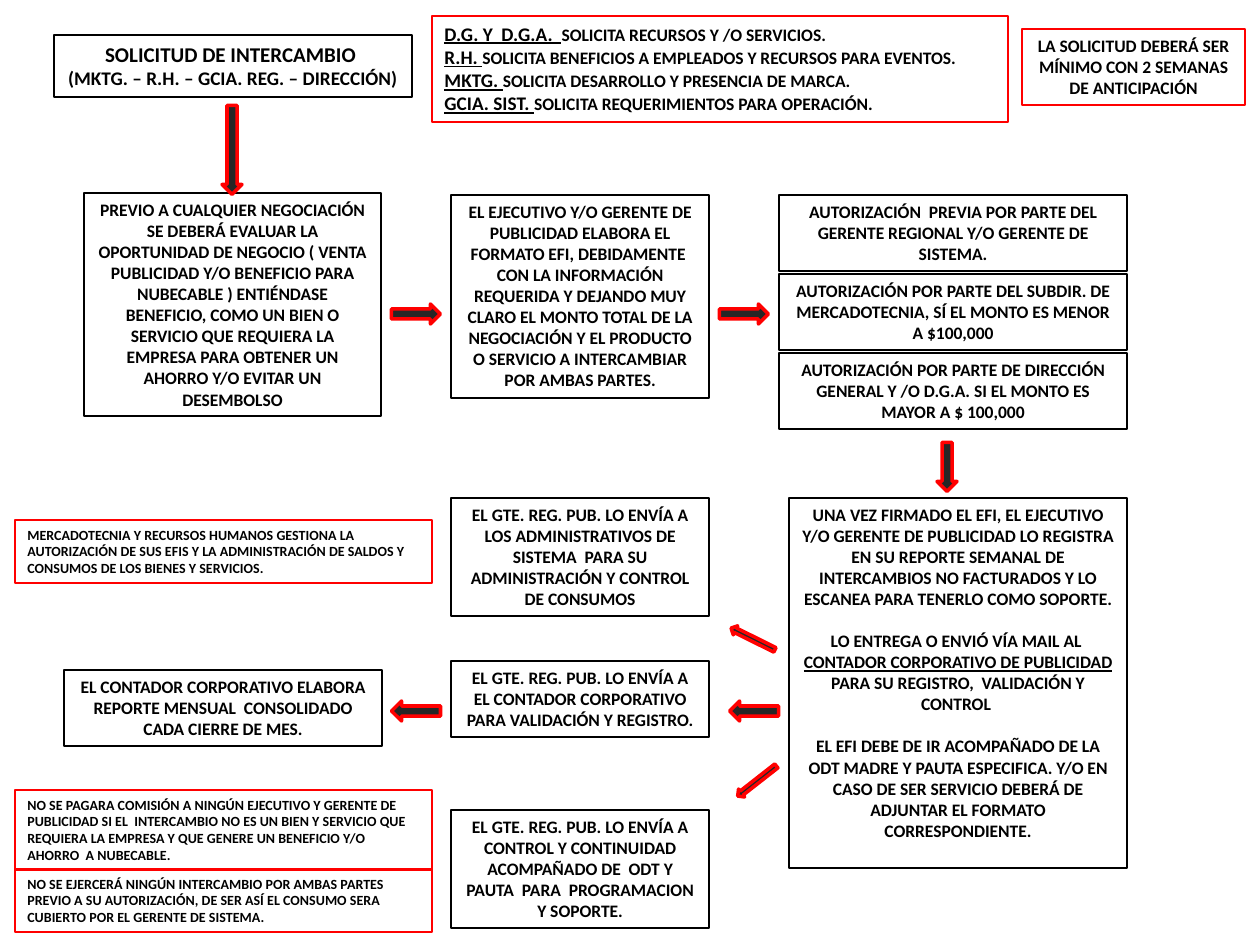
from pptx import Presentation
from pptx.dml.color import RGBColor
from pptx.enum.shapes import MSO_SHAPE
from pptx.enum.text import MSO_ANCHOR, MSO_AUTO_SIZE, PP_ALIGN
from pptx.util import Emu, Pt

PX_PER_INCH = 126
BLACK = RGBColor(0x00, 0x00, 0x00)
RED = RGBColor(0xFF, 0x00, 0x00)
CHARCOAL = RGBColor(0x26, 0x26, 0x26)
FONT = "Calibri"

# Columns and rows of the flow
MIDDLE_X, MIDDLE_W = 451, 258
APPROVAL_X, APPROVAL_W = 779, 348
NOTE_X, NOTE_W = 15, 417
TOP_ROW_Y, LOWER_ROW_Y = 195, 498
THREE_LINES_H, FIVE_LINES_H = 76, 118
APPROVAL_STEP = 79

ROLES = [
    ("D.G. Y  D.G.A.  ", "SOLICITA RECURSOS Y /O SERVICIOS."),
    ("R.H. ", "SOLICITA BENEFICIOS A EMPLEADOS Y RECURSOS PARA EVENTOS."),
    ("MKTG. ", "SOLICITA DESARROLLO Y PRESENCIA DE MARCA."),
    ("GCIA. SIST. ", "SOLICITA REQUERIMIENTOS PARA OPERACIÓN."),
]

APPROVALS = [
    "AUTORIZACIÓN  PREVIA POR PARTE DEL GERENTE REGIONAL Y/O GERENTE DE SISTEMA.",
    "AUTORIZACIÓN POR PARTE DEL SUBDIR. DE MERCADOTECNIA, SÍ EL MONTO ES MENOR "
    "A $100,000",
    "AUTORIZACIÓN POR PARTE DE DIRECCIÓN GENERAL Y /O D.G.A. SI EL MONTO ES "
    "MAYOR A $ 100,000",
]

# Middle column: top, height, text
MIDDLE_STEPS = [
    (TOP_ROW_Y, 203,
     "EL EJECUTIVO Y/O GERENTE DE PUBLICIDAD ELABORA EL FORMATO EFI, DEBIDAMENTE  "
     "CON LA INFORMACIÓN REQUERIDA Y DEJANDO MUY CLARO EL MONTO TOTAL DE LA "
     "NEGOCIACIÓN Y EL PRODUCTO O SERVICIO A INTERCAMBIAR POR AMBAS PARTES."),
    (LOWER_ROW_Y, FIVE_LINES_H,
     "EL GTE. REG. PUB. LO ENVÍA A LOS ADMINISTRATIVOS DE SISTEMA  PARA SU "
     "ADMINISTRACIÓN Y CONTROL DE CONSUMOS"),
    (661, THREE_LINES_H,
     "EL GTE. REG. PUB. LO ENVÍA A EL CONTADOR CORPORATIVO PARA VALIDACIÓN Y "
     "REGISTRO."),
    (810, FIVE_LINES_H,
     "EL GTE. REG. PUB. LO ENVÍA A CONTROL Y CONTINUIDAD ACOMPAÑADO DE  ODT Y "
     "PAUTA  PARA  PROGRAMACION Y SOPORTE."),
]

# Notes on the left: top, height, text
NOTES = [
    (520, 63,
     "MERCADOTECNIA Y RECURSOS HUMANOS GESTIONA LA AUTORIZACIÓN DE SUS EFIS Y LA "
     "ADMINISTRACIÓN DE SALDOS Y CONSUMOS DE LOS BIENES Y SERVICIOS."),
    (869, 63,
     "NO SE EJERCERÁ NINGÚN INTERCAMBIO POR AMBAS PARTES PREVIO A SU AUTORIZACIÓN, "
     "DE SER ASÍ EL CONSUMO SERA CUBIERTO POR EL GERENTE DE SISTEMA."),
    (790, 80,
     "NO SE PAGARA COMISIÓN A NINGÚN EJECUTIVO Y GERENTE DE PUBLICIDAD SI EL  "
     "INTERCAMBIO NO ES UN BIEN Y SERVICIO QUE REQUIERA LA EMPRESA Y QUE GENERE "
     "UN BENEFICIO Y/O AHORRO  A NUBECABLE."),
]

# Arrows: centre x, centre y, rotation, length, thickness
ARROWS = [
    (232, 150, 90, 89, 20),
    (416, 314, 0, 49, 20),
    (744, 314, 0, 49, 20),
    (947, 467, 90, 49, 20),
    (753, 639, 206.4, 49, 10),
    (754, 711, 180, 49, 20),
    (757, 781, 142, 49, 10),
    (416, 711, 180, 49, 20),
]


def px(length):
    return Emu(round(length * 914400 / PX_PER_INCH))


def write_text(frame, paragraphs, size=10, align=PP_ALIGN.CENTER, gap=0):
    """Each paragraph is a string or a list of (text, size, underline) runs."""
    for index, content in enumerate(paragraphs):
        paragraph = frame.paragraphs[0] if index == 0 else frame.add_paragraph()
        paragraph.alignment = align
        if index and gap:
            paragraph.space_before = Pt(gap)
        pieces = [(content, size, False)] if isinstance(content, str) else content
        for words, points, underline in pieces:
            run = paragraph.add_run()
            run.text = words
            run.font.name = FONT
            run.font.size = Pt(points)
            run.font.bold = True
            run.font.underline = underline
            run.font.color.rgb = BLACK


def add_box(slide, x, y, w, h, paragraphs, line=BLACK, **text_format):
    box = slide.shapes.add_shape(MSO_SHAPE.RECTANGLE, px(x), px(y), px(w), px(h))
    box.shadow.inherit = False
    box.fill.background()
    box.line.color.rgb = line
    box.line.width = Pt(0.75)
    frame = box.text_frame
    frame.word_wrap = True
    frame.auto_size = MSO_AUTO_SIZE.SHAPE_TO_FIT_TEXT
    frame.vertical_anchor = MSO_ANCHOR.TOP
    write_text(frame, paragraphs, **text_format)


def add_arrow(slide, centre_x, centre_y, rotation, length, thickness):
    arrow = slide.shapes.add_shape(
        MSO_SHAPE.RIGHT_ARROW, px(centre_x - length / 2),
        px(centre_y - thickness / 2), px(length), px(thickness))
    arrow.rotation = rotation
    arrow.shadow.inherit = False
    arrow.fill.solid()
    arrow.fill.fore_color.rgb = CHARCOAL
    arrow.line.color.rgb = RED
    arrow.line.width = Pt(2)


def main():
    presentation = Presentation()
    presentation.slide_width = px(1260)
    presentation.slide_height = px(945)
    slide = presentation.slides.add_slide(presentation.slide_layouts[6])

    # Request, who asks for what, and notice period
    add_box(slide, 54, 35, 358, 62, [
        [("SOLICITUD DE INTERCAMBIO ", 12, False)],
        [("(MKTG. – R.H. – GCIA. REG. – DIRECCIÓN)", 11, False)],
    ])
    add_box(slide, 432, 16, 576, 106,
            [[(role, 11, True), (request, 10, False)] for role, request in ROLES],
            line=RED, align=PP_ALIGN.LEFT)
    add_box(slide, 1022, 29, 223, THREE_LINES_H,
            ["LA SOLICITUD DEBERÁ SER MÍNIMO CON 2 SEMANAS DE ANTICIPACIÓN"],
            line=RED)

    # Evaluation and monthly report
    add_box(slide, 84, 193, 297, 223, [
        "PREVIO A CUALQUIER NEGOCIACIÓN SE DEBERÁ EVALUAR LA OPORTUNIDAD DE NEGOCIO "
        "( VENTA PUBLICIDAD Y/O BENEFICIO PARA NUBECABLE ) ENTIÉNDASE BENEFICIO, "
        "COMO UN BIEN O SERVICIO QUE REQUIERA LA EMPRESA PARA OBTENER UN AHORRO "
        "Y/O EVITAR UN DESEMBOLSO"])
    add_box(slide, 64, 670, 318, THREE_LINES_H, [
        "EL CONTADOR CORPORATIVO ELABORA REPORTE MENSUAL  CONSOLIDADO CADA CIERRE "
        "DE MES."])

    # EFI form and its three destinations
    for y, h, step in MIDDLE_STEPS:
        add_box(slide, MIDDLE_X, y, MIDDLE_W, h, [step])

    # Approvals
    for row, approval in enumerate(APPROVALS):
        add_box(slide, APPROVAL_X, TOP_ROW_Y + row * APPROVAL_STEP,
                APPROVAL_W, THREE_LINES_H, [approval])

    # Registration of the signed EFI
    add_box(slide, 789, LOWER_ROW_Y, 338, 370, [
        "UNA VEZ FIRMADO EL EFI, EL EJECUTIVO Y/O GERENTE DE PUBLICIDAD LO REGISTRA "
        "EN SU REPORTE SEMANAL DE INTERCAMBIOS NO FACTURADOS Y LO ESCANEA PARA "
        "TENERLO COMO SOPORTE.",
        [("LO ENTREGA O ENVIÓ VÍA MAIL AL  ", 10, False),
         ("CONTADOR CORPORATIVO DE PUBLICIDAD ", 10, True),
         ("PARA SU REGISTRO,  VALIDACIÓN Y CONTROL ", 10, False)],
        "EL EFI DEBE DE IR ACOMPAÑADO DE LA ODT MADRE Y PAUTA ESPECIFICA. Y/O EN "
        "CASO DE SER SERVICIO DEBERÁ DE ADJUNTAR EL FORMATO CORRESPONDIENTE.",
    ], gap=12)

    # Policy notes
    for y, h, note in NOTES:
        add_box(slide, NOTE_X, y, NOTE_W, h, [note],
                line=RED, size=8, align=PP_ALIGN.LEFT)

    # Flow arrows
    for arrow in ARROWS:
        add_arrow(slide, *arrow)

    presentation.save("out.pptx")


if __name__ == "__main__":
    main()
